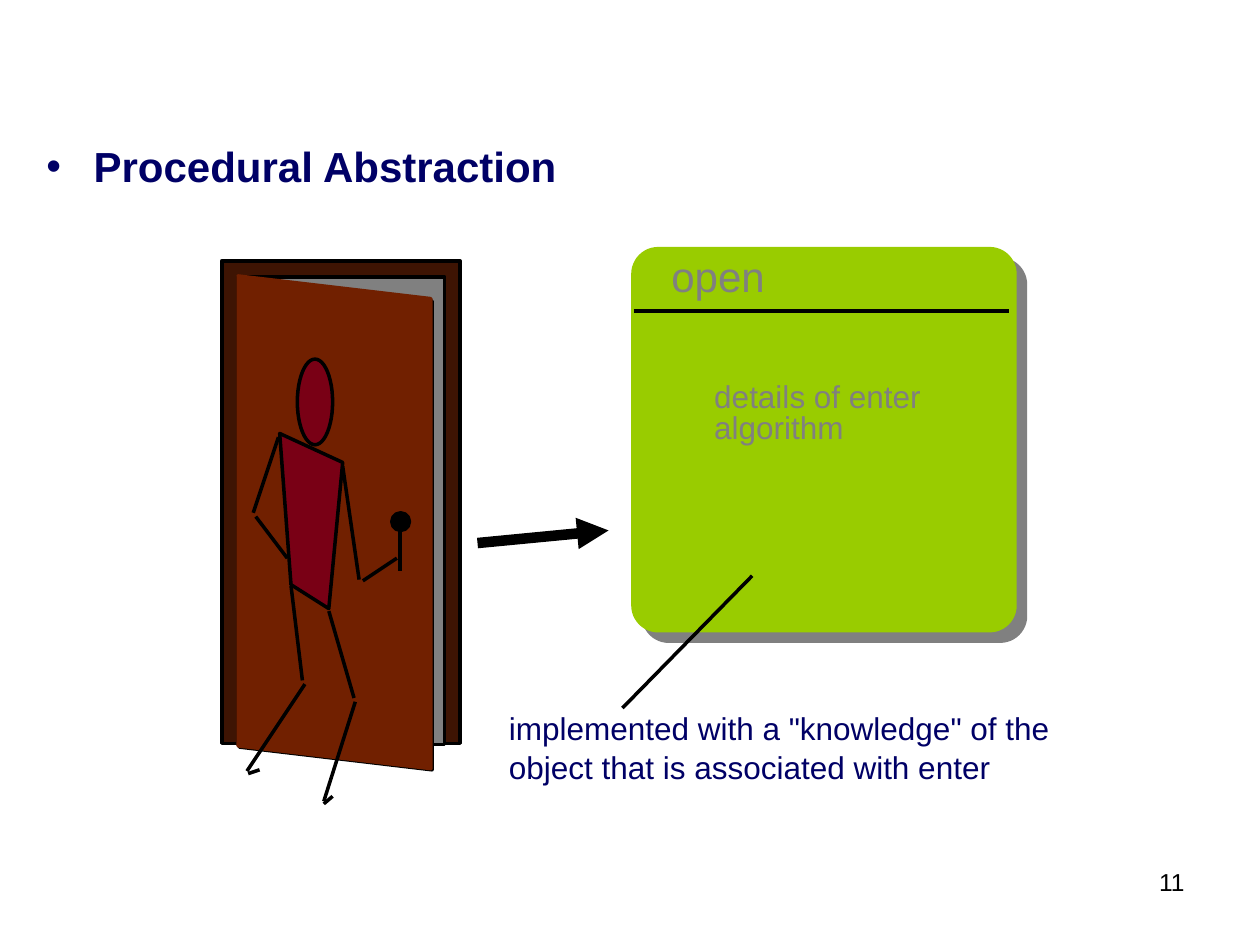
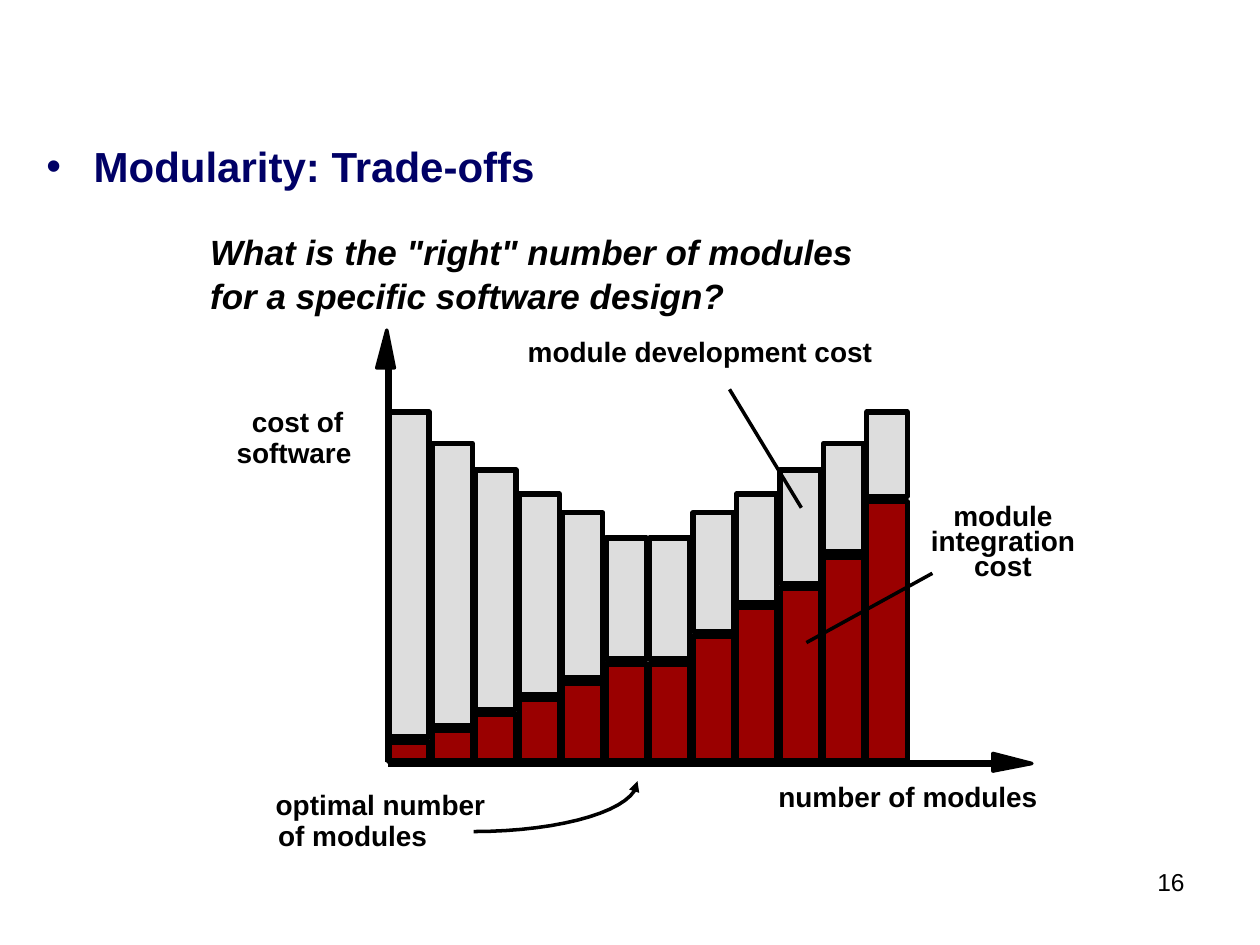
import math
import pptx
import pptx.util
import pptx.dml.color
import pptx.enum.shapes
import pptx.enum.text
import pptx.oxml.ns
from lxml import etree

deck = pptx.Presentation()
deck.slide_width = pptx.util.Inches(10)
deck.slide_height = pptx.util.Inches(7.5)
cell = deck.slide_width / 100  # square grid: 100 columns, 75 rows

FONT = "Arial"
NAVY, BLACK, GRAY, LIME = "000066", "000000", "808080", "99CC00"
FRAME, WOOD, SKIN = "3E1403", "712000", "790015"
SILVER, RED = "DDDDDD", "9A0000"
KINDS = {
    "rect": pptx.enum.shapes.MSO_SHAPE.RECTANGLE,
    "oval": pptx.enum.shapes.MSO_SHAPE.OVAL,
    "card": pptx.enum.shapes.MSO_SHAPE.ROUNDED_RECTANGLE,
}
qn = pptx.oxml.ns.qn


def paint(shape, fill=None, line=BLACK, width=2, end=None, shade=None):
    """Set fill, line, arrowhead and shadow from hex colours."""
    if hasattr(shape, "fill"):
        if fill:
            shape.fill.solid()
            shape.fill.fore_color.rgb = pptx.dml.color.RGBColor.from_string(fill)
        else:
            shape.fill.background()
    if line:
        shape.line.color.rgb = pptx.dml.color.RGBColor.from_string(line)
        shape.line.width = pptx.util.Pt(width)
    else:
        shape.line.fill.background()
    props = shape._element.spPr
    if end:
        etree.SubElement(props.find(qn("a:ln")), qn(end), type="triangle")
    effect = etree.SubElement(props, qn("a:effectLst"))
    if shade:
        cast = etree.SubElement(effect, qn("a:outerShdw"), dist="107950",
                                dir="2700000", algn="ctr", rotWithShape="0")
        etree.SubElement(cast, qn("a:srgbClr"), val=shade)


def write(slide, text, box, size=16, color=BLACK, bold=False, italic=False,
          align="LEFT", space=None, bullet=False):
    """Add a text box; each line of the text is a paragraph."""
    frame = slide.shapes.add_textbox(*[round(n * cell) for n in box]).text_frame
    frame.word_wrap = True
    for spot, words in enumerate(text.split("\n")):
        para = frame.add_paragraph() if spot else frame.paragraphs[0]
        para.alignment = getattr(pptx.enum.text.PP_ALIGN, align)
        if space:
            para.line_spacing = space
        if bullet:
            para.space_before = pptx.util.Pt(6)
            props = para._p.get_or_add_pPr()
            props.set("marL", "342900")
            props.set("indent", "-342900")
            tint = etree.SubElement(props, qn("a:buClr"))
            etree.SubElement(tint, qn("a:srgbClr"), val=color)
            etree.SubElement(props, qn("a:buFont"), typeface=FONT)
            etree.SubElement(props, qn("a:buChar"), char="\u2022")
        run = para.add_run()
        run.text = words
        run.font.name = FONT
        run.font.size = pptx.util.Pt(size)
        run.font.bold = bold
        run.font.italic = italic
        run.font.color.rgb = pptx.dml.color.RGBColor.from_string(color)


# Marks, back to front: kind, place in grid cells, format.
# A box is left, top, width, height; a line is two points.
door = [
    ("line", (37.9, 43.1, 48.3, 42.1), dict(width=6, end="a:tailEnd")),
    ("rect", (17.6, 20.7, 18.9, 38.3), dict(fill=FRAME)),
    ("rect", (18.9, 22, 16.4, 37.1), dict(fill=GRAY)),
    ("path", [(19, 22.1), (34.3, 23.9), (34.3, 61.1), (19, 59.3), (19, 22.1)], {}),
    ("path", [(18.9, 21.9), (34.2, 23.7), (34.2, 61), (18.9, 59.2), (18.9, 21.9)],
     dict(fill=WOOD, line=WOOD)),
    ("oval", (31.1, 40.7, 1.4, 1.4), dict(fill=BLACK)),
    ("line", (31.75, 42, 31.75, 45.3), dict(width=2.75)),
    ("oval", (23.6, 28.5, 2.8, 6.8), dict(fill=SKIN)),
    ("path", [(22.2, 34.4), (27.2, 36.7), (26.1, 48.3), (23.1, 46.4), (22.2, 34.4)],
     dict(fill=SKIN)),
]
limbs = [
    (27.2, 37, 28.5, 46), (28.8, 46.1, 31.5, 44.3),
    (22.1, 34.7, 20.1, 40.7), (20.3, 41, 22.8, 44.3),
    (26.1, 48.5, 28.1, 55.4), (28.2, 55.7, 25.7, 63.6), (25.7, 63.8, 26.4, 63.2),
    (23.1, 46.5, 24, 54), (24.2, 54.3, 19.6, 61.2), (19.7, 61.4, 20.6, 61.1),
]
door += [("line", limb, {}) for limb in limbs]
door += [
    ("card", (50.1, 19.6, 30.6, 30.6), dict(fill=LIME, line=None, shade=GRAY)),
    ("line", (50.3, 24.7, 80.1, 24.7), {}),
    ("line", (59.7, 45.7, 49.4, 56.2), {}),
]

# Bars: total cost is symmetric, integration cost grows.
half = [32.7, 35.2, 37.3, 39.2, 40.7, 42.7]
tops = half + half[::-1]
cuts = [58.9, 58, 56.7, 55.5, 54.2, 52.7, 52.7, 50.5, 48.2, 46.7, 44.2, 39.8]
base, left, pitch, wide = 60.4, 30.85, 3.45, 3.2
bars = []
for spot, (top, cut) in enumerate(zip(tops, cuts)):
    side = left + spot * pitch
    bars += [
        ("rect", (side, top, wide, cut - 0.4 - top), dict(fill=SILVER, width=3)),
        ("rect", (side, cut, wide, base - cut), dict(fill=RED, width=3)),
    ]
curve = [(37.6 + 13 * math.cos(turn * math.pi / 32),
          62 + 4 * math.sin(turn * math.pi / 32)) for turn in range(17)]
bars += [
    ("path", [(81.9, 60.6), (78.8, 61.2), (78.8, 59.8), (81.9, 60.6)], dict(fill=BLACK)),
    ("line", (30.8, 60.6, 78.7, 60.6), dict(width=4)),
    ("path", [(30.7, 26.2), (31.3, 29.2), (29.9, 29.2), (30.7, 26.2)], dict(fill=BLACK)),
    ("line", (30.8, 60.5, 30.8, 29.1), dict(width=4)),
    ("line", (57.9, 30.9, 63.6, 40.3), {}),
    ("line", (74, 45.5, 64, 51), {}),
    ("path", curve, dict(end="a:headEnd")),
]

note = dict(size=18, color=GRAY)
ask = dict(size=20, bold=True, italic=True)
tag = dict(bold=True)
pages = [
    ("Procedural Abstraction", "11", door, [
        ("open", (52.3, 19.4, 11, 5), dict(size=24, color=GRAY)),
        ('implemented with a "knowledge" of the\nobject that is associated with enter',
         (39.4, 55.6, 47, 7), dict(size=18, color=NAVY, space=1.05)),
        ("details of enter", (55.7, 29.4, 19.1, 4), note),
        ("algorithm", (55.7, 31.9, 14, 4), note),
    ]),
    ("Modularity: Trade-offs", "16", bars, [
        ('What is the "right" number of modules', (15.7, 17.8, 55, 4.3), ask),
        ("for a specific software design?", (15.7, 21.3, 44, 4.3), ask),
        ("optimal number", (20.9, 62, 20, 3.6), tag),
        ("of modules", (21.1, 64.5, 16, 3.6), tag),
        ("cost of", (19, 31.6, 11, 3.6), tag),
        ("software", (17.8, 34.1, 13, 3.6), tag),
        ("number of modules", (60.8, 61.4, 24, 3.6), tag),
        ("module\nintegration\ncost", (72.4, 39.7, 14.4, 7),
         dict(bold=True, align="CENTER", space=0.75)),
        ("module development cost", (40.9, 26.1, 31, 3.6), tag),
    ]),
]

for title, number, marks, texts in pages:
    slide = deck.slides.add_slide(deck.slide_layouts[6])
    write(slide, title, (2.7, 10.7, 90, 15), size=24, color=NAVY, bold=True, bullet=True)
    write(slide, number, (74.4, 68.3, 20.6, 5.2), size=14, align="RIGHT")
    for kind, place, style in marks:
        if kind == "path":
            dots = [(round(x * cell), round(y * cell)) for x, y in place]
            pen = slide.shapes.build_freeform(*dots[0])
            pen.add_line_segments(dots[1:], close=dots[0] == dots[-1])
            shape = pen.convert_to_shape()
        else:
            spans = [round(n * cell) for n in place]
            if kind == "line":
                shape = slide.shapes.add_connector(
                    pptx.enum.shapes.MSO_CONNECTOR.STRAIGHT, *spans)
            else:
                shape = slide.shapes.add_shape(KINDS[kind], *spans)
                if kind == "card":
                    shape.adjustments[0] = 0.07
        paint(shape, **style)
    for text, box, style in texts:
        write(slide, text, box, **style)

deck.save("out.pptx")
